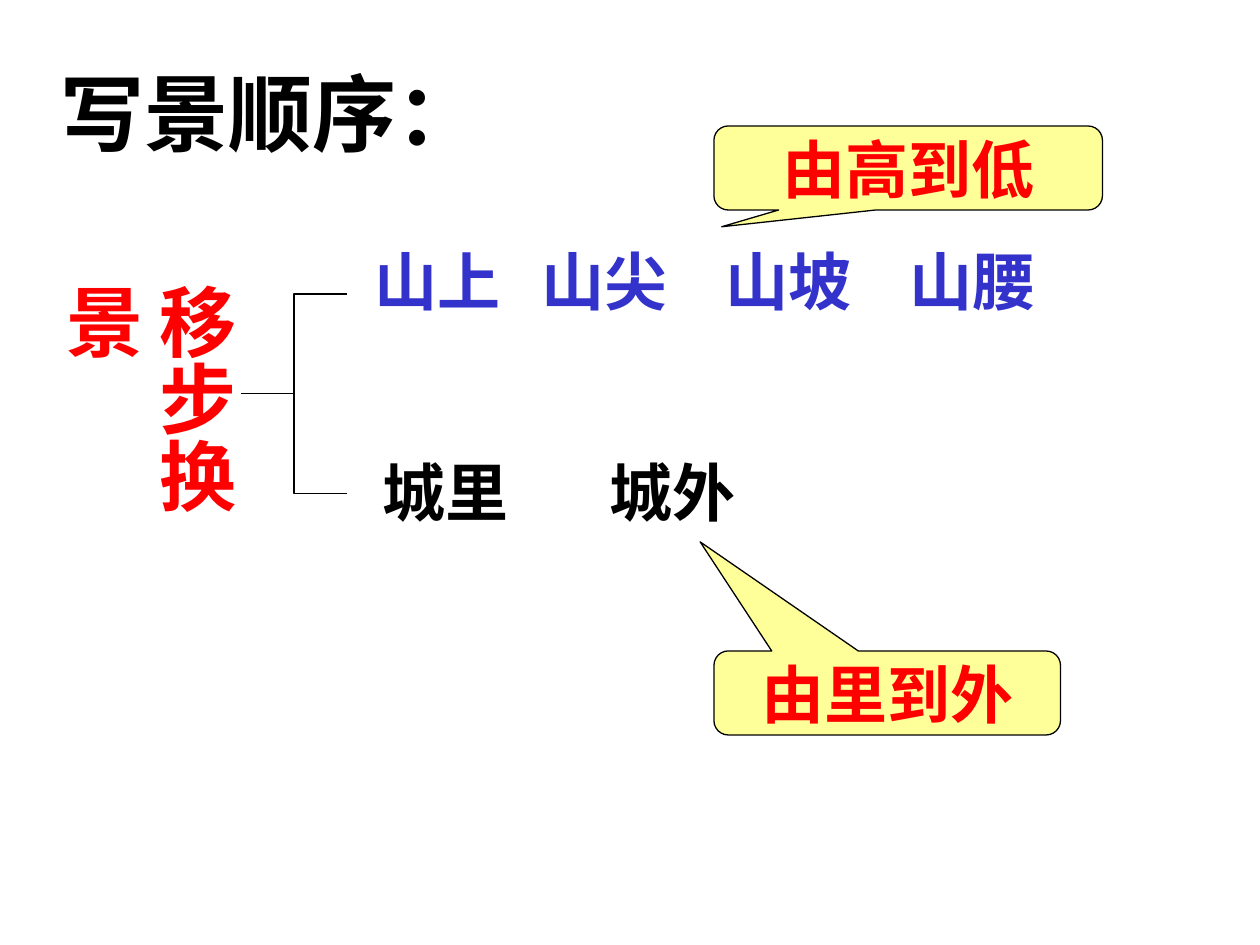
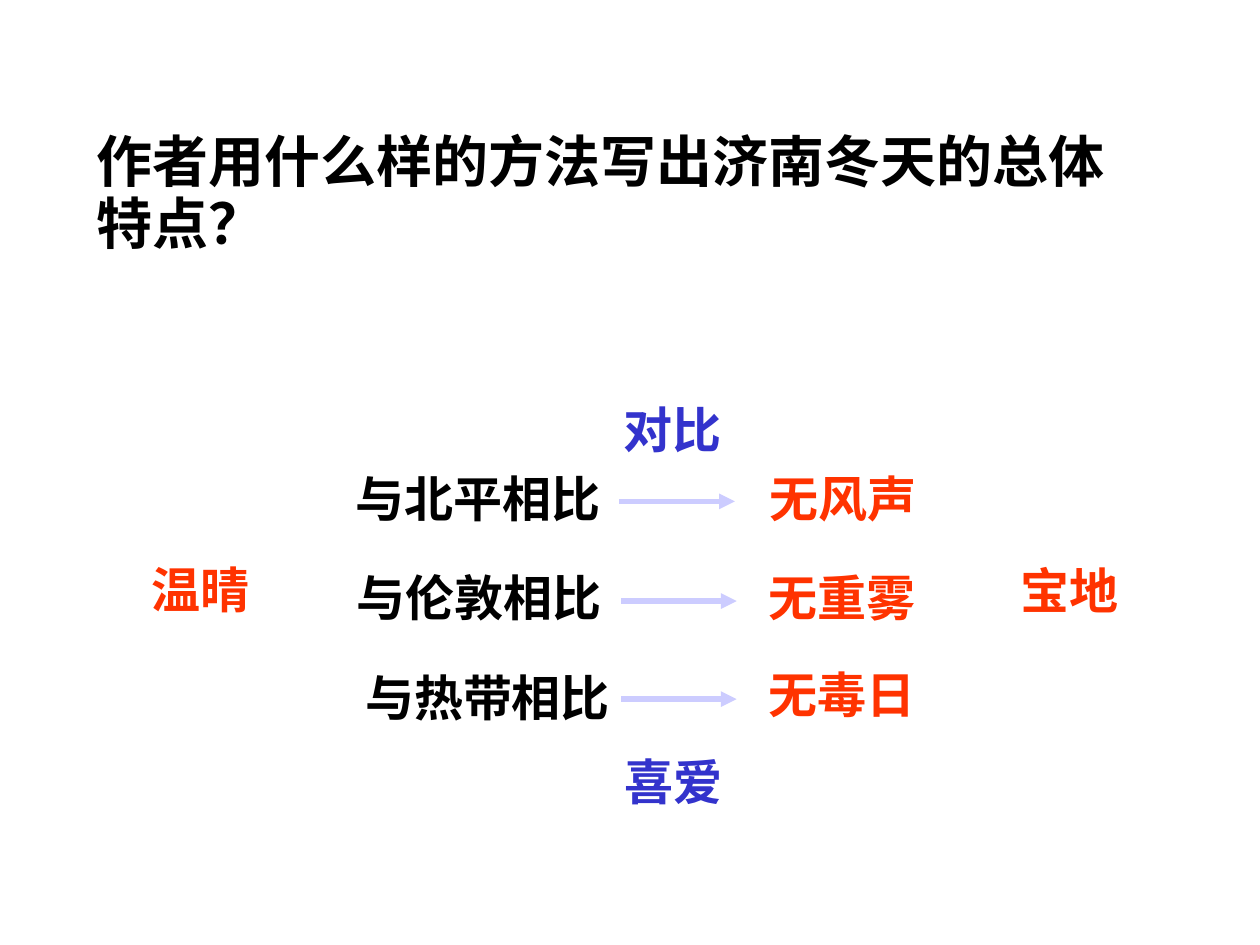
import pptx
import pptx.util
import pptx.dml.color
import pptx.enum.shapes
import pptx.enum.text
import pptx.oxml.ns
import lxml.etree

Pt = pptx.util.Pt
qn = pptx.oxml.ns.qn
RGB = pptx.dml.color.RGBColor.from_string
kinds = pptx.enum.shapes
align = pptx.enum.text.PP_ALIGN
HUES = {"ink": "000000", "blue": "3333CC", "red": "FF0000",
        "flame": "FF3300", "cream": "FFFF99", "pale": "CCCCFF"}
SERIF, SANS = "Times New Roman", "Noto Sans CJK SC"
FRAME = {"vertical_anchor": pptx.enum.text.MSO_ANCHOR.MIDDLE,
         "auto_size": pptx.enum.text.MSO_AUTO_SIZE.NONE, "word_wrap": True,
         "margin_left": Pt(7.2), "margin_right": Pt(7.2),
         "margin_top": Pt(3.6), "margin_bottom": Pt(3.6)}


def write(shape, text, size, hue, face, side=align.LEFT, **more):
    frame = shape.text_frame
    for key, val in {**FRAME, **more}.items():
        setattr(frame, key, val)
    para = frame.paragraphs[0]
    para.alignment = side
    run = para.add_run()
    run.text = text
    for key, val in {"size": Pt(size), "bold": True, "name": face}.items():
        setattr(run.font, key, val)
    run.font.color.rgb = RGB(HUES[hue])
    east = lxml.etree.SubElement(run.font._element, qn("a:ea"))
    east.set("typeface", SANS)
    return para


def label(slide, text, left, top, size, hue, face):
    box = slide.shapes.add_textbox(
        Pt(left), Pt(top), Pt(len(text) * size + 16), Pt(1.2 * size + 7))
    write(box, text, size, hue, face)


deck = pptx.Presentation()
deck.slide_width, deck.slide_height = Pt(720), Pt(540)

heads = [("写景顺序：", 48, SERIF, (27.4, 31.7, 270, 65)),
         ("作者用什么样的方法写出济南冬天的总体特点？", 32, SANS, (48, 73, 600, 76))]
pages = []
for text, size, face, spot in heads:
    page = deck.slides.add_slide(deck.slide_layouts[5])
    title = page.shapes.title
    title.left, title.top, title.width, title.height = map(Pt, spot)
    para = write(title, text, size, "ink", face)
    pages.append(page)
para.line_spacing = Pt(35)
order, method = pages

for text, left in zip(["山上", "山尖", "山坡", "山腰"], [207, 302.5, 407.5, 512.5]):
    label(order, text, left, 135, 36, "blue", SERIF)
for text, left in [("城里", 211.7), ("城外", 341)]:
    label(order, text, left, 255.6, 36, "ink", SERIF)

pen = order.shapes.build_freeform(Pt(198), Pt(168))
pen.add_line_segments([(Pt(168), Pt(168)), (Pt(168), Pt(282)), (Pt(198), Pt(282))], close=False)
pen.move_to(Pt(138), Pt(225))
pen.add_line_segments([(Pt(168), Pt(225))], close=False)
brace = pen.convert_to_shape()
brace.shadow.inherit = False
brace.fill.background()
brace.line.color.rgb = RGB(HUES["ink"])
brace.line.width = Pt(0.75)

notes = [("由高到低", 72, 222, (-0.48, 0.7, 0.17)),
         ("由里到外", 372, 198, (-0.54, -1.8, 0.17))]
for text, top, width, bends in notes:
    note = order.shapes.add_shape(
        kinds.MSO_SHAPE.ROUNDED_RECTANGULAR_CALLOUT, Pt(408), Pt(top), Pt(width), Pt(48))
    for at, bend in enumerate(bends):
        note.adjustments[at] = bend
    note.shadow.inherit = False
    note.fill.solid()
    note.fill.fore_color.rgb = RGB(HUES["cream"])
    note.line.color.rgb = RGB(HUES["ink"])
    note.line.width = Pt(0.75)
    write(note, text, 36, "red", SERIF, align.CENTER, word_wrap=False)

steps = order.shapes.add_textbox(Pt(25), Pt(155), Pt(120), Pt(150))
para = write(steps, "移步换景", 44, "red", SERIF, margin_left=Pt(3.6),
             margin_right=Pt(3.6), margin_top=Pt(7.2), margin_bottom=Pt(7.2))
para.line_spacing = Pt(53)
steps.text_frame._txBody.bodyPr.set("vert", "eaVert")

rows = [("与北平相比", 196, 264.2, "无风声", 432.7, 264.2, 354, 286.5),
        ("与伦敦相比", 196.8, 321, "无重雾", 432, 321, 355, 343.5),
        ("与热带相比", 201.6, 378, "无毒日", 432, 376.5, 355, 399.5)]
for city, left, top, trait, far, high, start, mid in rows:
    label(method, city, left, top, 28, "ink", SANS)
    label(method, trait, far, high, 28, "flame", SANS)
    arrow = method.shapes.add_connector(
        kinds.MSO_CONNECTOR.STRAIGHT, Pt(start), Pt(mid), Pt(start + 66), Pt(mid))
    arrow.line.color.rgb = RGB(HUES["pale"])
    arrow.line.width = Pt(3)
    tip = lxml.etree.SubElement(arrow.line._get_or_add_ln(), qn("a:tailEnd"))
    tip.set("type", "triangle")
    lxml.etree.SubElement(arrow._element.spPr, qn("a:effectLst"))

for text, left, top, hue in [("对比", 349.2, 224.6, "blue"), ("喜爱", 350, 426.2, "blue"),
                             ("温晴", 79.3, 316, "flame"), ("宝地", 576, 316.8, "flame")]:
    label(method, text, left, top, 28, hue, SANS)

deck.save("out.pptx")
